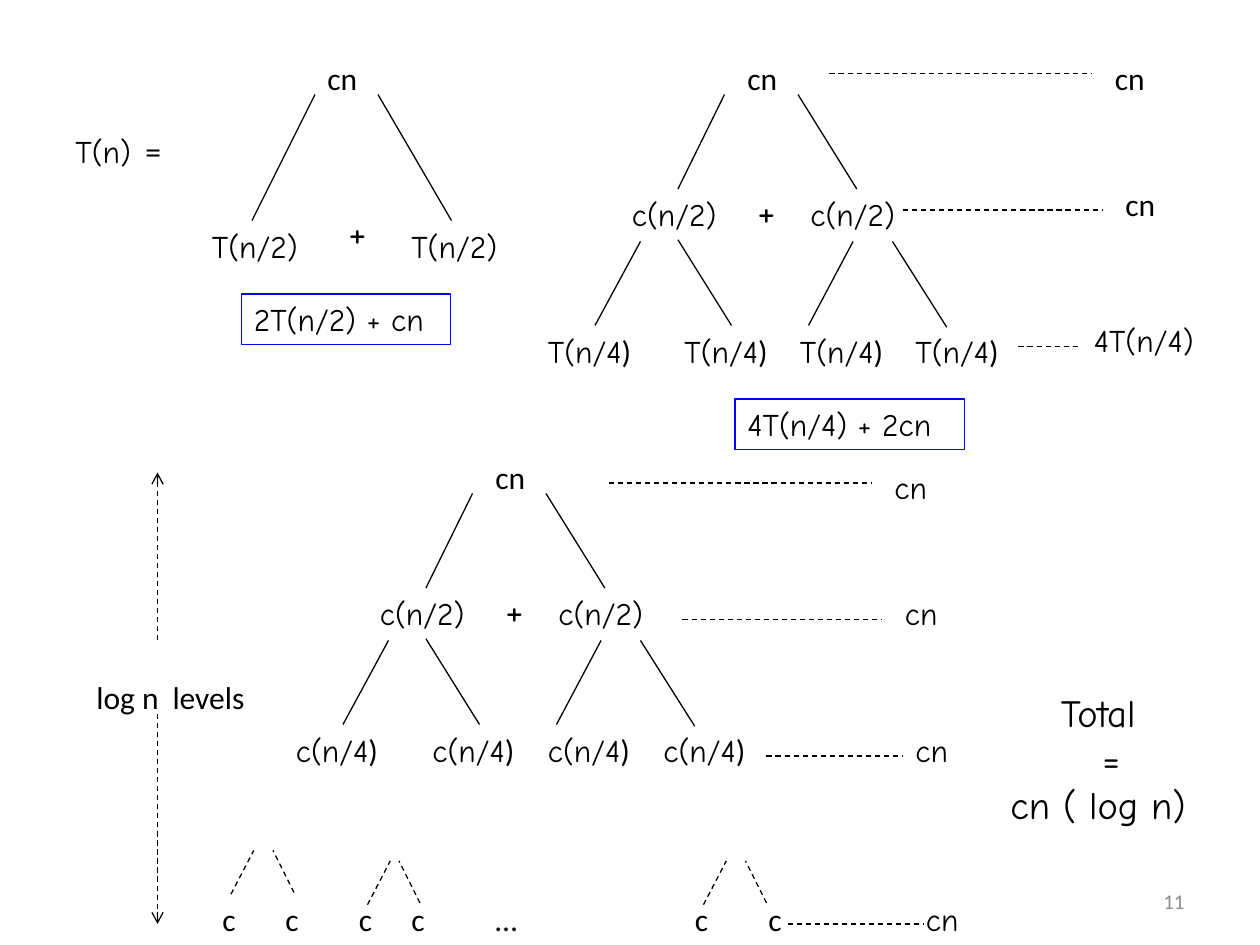
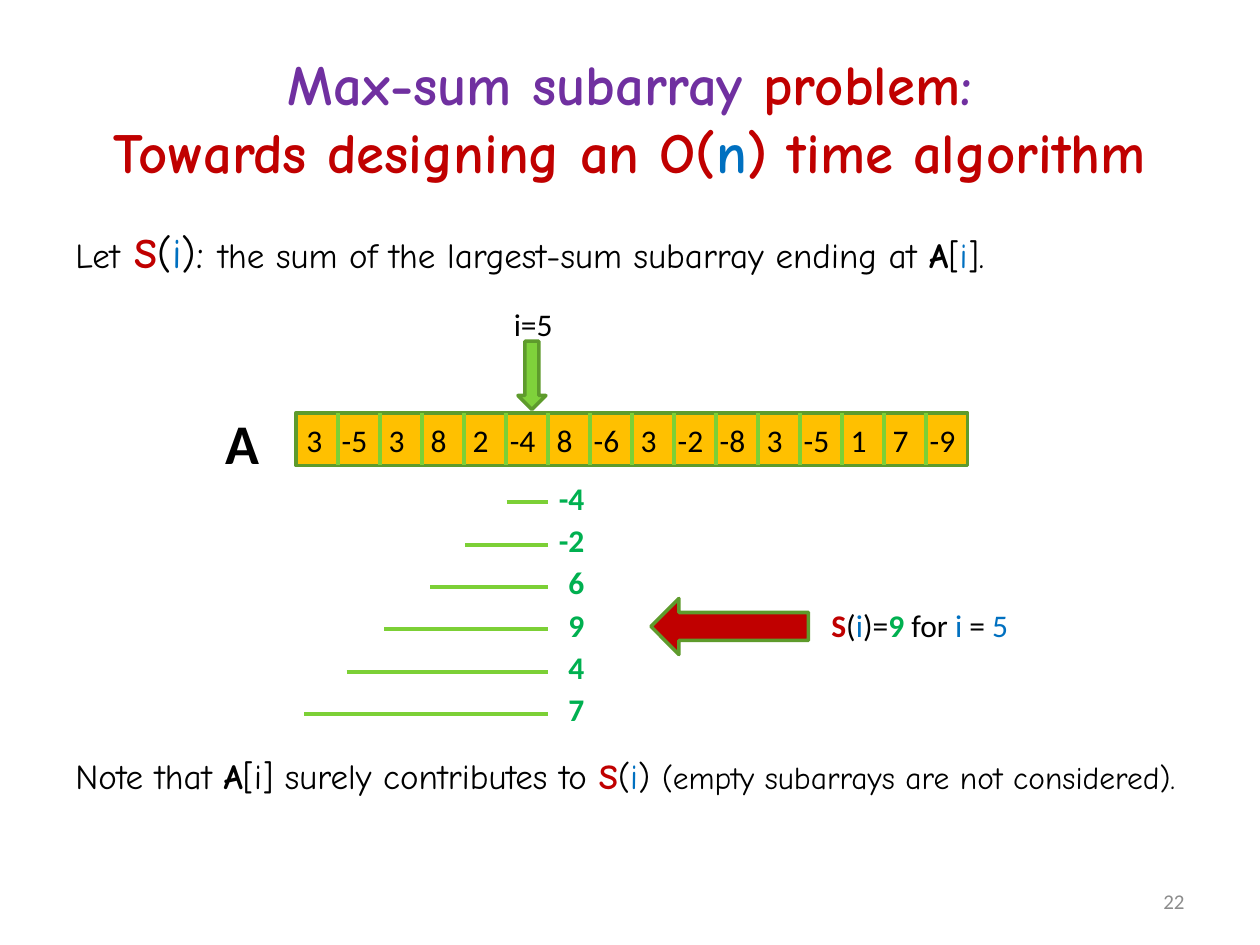
from lxml.etree import SubElement
from pptx import Presentation
from pptx.dml.color import RGBColor
from pptx.enum.dml import MSO_LINE_DASH_STYLE as Dash
from pptx.enum.shapes import MSO_CONNECTOR as Connector, MSO_SHAPE as Shape
from pptx.enum.text import MSO_ANCHOR as Anchor, PP_ALIGN as Align
from pptx.oxml.ns import qn
from pptx.util import Pt

# Shared style
SANS, COMIC = "Calibri", "Comic Neue"
BLACK, GREY, PURPLE = "000000", "8C8C8C", "7030A0"
RED, BLUE, GREEN = "C00000", "0070C0", "00B050"
GOLD, LIME, LEAF, OLIVE, FRAME = "FFC000", "7CD036", "7FD13B", "5E9B2C", "0000FF"

# Label widths on the recursion slide
WIDTHS = {"cn": 36, "c": 23, "…": 28, "+": 27, "T(n/2)": 72, "c(n/2)": 68, "4T(n/4)": 83}


def color(hex_code):
    return RGBColor.from_string(hex_code)


def style_font(font, size=None, name=None, ink=None, bold=None):
    if size:
        font.size = Pt(size)
    if name:
        font.name = name
    if ink:
        font.color.rgb = color(ink)
    if bold is not None:
        font.bold = bold


def write(box, lines, size=18, name=SANS, ink=BLACK, bold=None, align=Align.LEFT,
          anchor=Anchor.TOP, wrap=False, tabs=()):
    """Each line is a list of spans: plain strings or (text, font overrides)."""
    frame = box.text_frame
    frame.word_wrap = wrap
    frame.vertical_anchor = anchor
    for index, spans in enumerate(lines):
        para = frame.paragraphs[0] if index == 0 else frame.add_paragraph()
        para.alignment = align
        if tabs:
            stops = SubElement(para._p.get_or_add_pPr(), qn("a:tabLst"))
            for position, kind in tabs:
                SubElement(stops, qn("a:tab"), pos=str(Pt(position)), algn=kind)
        style_font(para.font, size, name, ink, bold)
        for item in spans:
            words, changes = (item, {}) if isinstance(item, str) else item
            span = para.add_run()
            span.text = words
            style_font(span.font, **changes)
    return frame


def add_text(page, x, y, width, height, lines, **style):
    box = page.shapes.add_textbox(Pt(x), Pt(y), Pt(width), Pt(height))
    return write(box, lines, **style)


def add_label(page, words, x, y, **style):
    add_text(page, x, y, WIDTHS[words], 29, [[words]], **style)


def add_line(page, x1, y1, x2, y2, ink=BLACK, width=0.75, dashed=False, arrow=False):
    line = page.shapes.add_connector(Connector.STRAIGHT, Pt(x1), Pt(y1), Pt(x2), Pt(y2))
    line.line.color.rgb = color(ink)
    line.line.width = Pt(width)
    if dashed:
        line.line.dash_style = Dash.DASH
    if arrow:
        SubElement(line.line._get_or_add_ln(), qn("a:tailEnd"), type="arrow")
    SubElement(line._element.spPr, qn("a:effectLst"))


def add_shape(page, kind, x, y, width, height, ink, line_width, fill=None):
    shape = page.shapes.add_shape(kind, Pt(x), Pt(y), Pt(width), Pt(height))
    shape.shadow.inherit = False
    if fill:
        shape.fill.solid()
        shape.fill.fore_color.rgb = color(fill)
    else:
        shape.fill.background()
    shape.line.color.rgb = color(ink)
    shape.line.width = Pt(line_width)
    return shape


def add_page(deck, number):
    page = deck.slides.add_slide(deck.slide_layouts[6])
    add_text(page, 516, 500.5, 168, 29, [[str(number)]], size=12, ink=GREY,
             align=Align.RIGHT, anchor=Anchor.MIDDLE, wrap=True)
    return page


# Recursion slide
def add_formula(page, words, x, y, width):
    frame = add_shape(page, Shape.RECTANGLE, x, y, width, 29, FRAME, 0.75)
    write(frame, [[words]], name=COMIC)


def add_call_tree(page, x, y, leaf, leaf_width):
    """Three levels of calls, with the root label at x, y."""
    add_label(page, "cn", x, y)
    add_label(page, "+", x + 6, y + 72, size=24, name=COMIC)
    for dx in (-66, 36):
        add_label(page, "c(n/2)", x + dx, y + 78, name=COMIC)
    for dx in (-114, -36, 30, 96):
        add_text(page, x + dx, y + 156, leaf_width, 29,
                 [[leaf, (")", {"name": SANS})]], name=COMIC)
    branches = [(-6, 24, -32.6, 78), (36, 24, 69.6, 78), (-54, 108, -80, 156),
                (-32.6, 107, -2, 156), (67.5, 108, 42, 156), (90, 108, 121, 157)]
    for x1, y1, x2, y2 in branches:
        add_line(page, x + x1, y + y1, x + x2, y + y2)


def add_level_cost(page, x1, x2, y, cost, label_x, label_y, name=COMIC):
    add_line(page, x1, y, x2, y, dashed=True)
    add_label(page, cost, label_x, label_y, name=name)


def build_recursion(deck):
    page = add_page(deck, 11)

    # First expansion
    add_text(page, 36, 72, 71, 29, [["T(n)", ("\t=", {"name": SANS})]],
             name=COMIC, wrap=True, tabs=[(40, "l")])
    add_label(page, "cn", 180, 30)
    add_line(page, 180, 54, 144, 126)
    add_line(page, 216, 54, 258, 126)
    for x in (114, 228):
        add_label(page, "T(n/2)", x, 126, name=COMIC)
    add_label(page, "+", 192, 114, size=24, name=COMIC)
    add_formula(page, "2T(n/2) + cn", 138, 168, 119.5)

    # Second expansion
    add_call_tree(page, 420, 30, "T(n/4", 70)
    add_level_cost(page, 474, 624, 42, "cn", 630, 30, SANS)
    add_level_cost(page, 516, 630, 120, "cn", 636, 102, SANS)
    add_level_cost(page, 582, 618, 198, "4T(n/4)", 618, 180)
    add_formula(page, "4T(n/4) + 2cn", 420, 228, 131)

    # Full expansion
    add_call_tree(page, 276, 258, "c(n/4", 67)
    add_level_cost(page, 348, 498, 276, "cn", 504, 264)
    add_level_cost(page, 390, 504, 354, "cn", 510, 336)
    add_level_cost(page, 438, 516, 432, "cn", 516, 414)
    add_level_cost(page, 450, 528, 528, "cn", 522, 511)

    # Bottom level: label positions, right stub foot and stub top
    for left, right, foot, top in [(120, 156, 168, 486), (198, 228, 240, 492),
                                   (390, 432, 438, 492)]:
        add_label(page, "c", left, 511)
        add_label(page, "c", right, 511)
        add_line(page, left + 12, top + 25, left + 25, top, dashed=True)
        add_line(page, foot, top + 24, foot - 12, top, dashed=True)
    add_label(page, "…", 276, 511)

    # Depth and total
    add_line(page, 90, 408, 90, 528, dashed=True, arrow=True)
    add_line(page, 90, 366, 90, 270, dashed=True, arrow=True)
    add_text(page, 48, 384, 101, 29, [["log n\tlevels"]], wrap=True, tabs=[(43.5, "l")])
    total = add_text(page, 570, 390, 115, 87, [["Total"], ["="], ["cn ( log n)"]],
                     size=22, name=COMIC, align=Align.CENTER)
    total.paragraphs[1]._p.get_or_add_pPr().set("marL", str(Pt(15)))


# Subarray slide
def add_array(page, values, x, y, cell, height):
    add_shape(page, Shape.RECTANGLE, x, y, cell * len(values), height, OLIVE, 2, GOLD)
    for index in range(1, len(values)):
        add_line(page, x + index * cell, y, x + index * cell, y + height, LIME, 2.25)
    centres = [(index * cell + 3.5, "ctr") for index in range(1, len(values))]
    add_text(page, x - 1, y + 1, 395, 29, [["\t".join(map(str, values))]],
             wrap=True, tabs=centres)
    add_text(page, 121.5, 230, 34, 46, [["A"]], size=32, bold=True)


def build_subarray(deck):
    page = add_page(deck, 22)
    red, blue, black = {"ink": RED}, {"ink": BLUE}, {"ink": BLACK}
    bold, big = {"bold": True}, {"size": 24}
    red_bold = red | bold

    # Title
    add_text(page, 36, 21.5, 648, 90, [
        ["Max-sum subarray ", ("problem", red), ":"],
        [("Towards designing an O(", red), ("n", blue), (") time algorithm", red)],
    ], size=32.4, name=COMIC, ink=PURPLE, bold=True, align=Align.CENTER,
        anchor=Anchor.MIDDLE, wrap=True)

    # Definition and note
    body = add_text(page, 36, 126, 648, 356, [
        ["Let", (" S", red_bold | big), ("(", big), ("i", blue | big), ("): ", big),
         "the sum of the largest-sum subarray ending at ",
         ("A", bold), "[", ("i", blue), "]."],
        ["Note that ", ("A", bold), "[i] surely contributes to ", ("S", red_bold),
         "(", ("i", blue), ") ", ("(empty subarrays are not considered).", {"size": 18})],
    ], size=20, name=COMIC, wrap=True)
    body.paragraphs[1].space_before = Pt(273)

    # Array with the index pointer
    add_array(page, [3, -5, 3, 8, 2, -4, 8, -6, 3, -2, -8, 3, -5, 1, 7, -9],
              169, 236, 24, 30)
    add_shape(page, Shape.DOWN_ARROW, 296, 195, 16, 39, OLIVE, 2, LEAF)
    add_text(page, 286.5, 170.5, 37, 29, [["i=5"]])

    # Sums of the subarrays that end at the index
    sums = [(289.5, -4), (266, -2), (246, 6), (219.5, 9), (198, 4), (174, 7)]
    for row, (start, value) in enumerate(sums):
        y = 287 + row * 24.2
        add_line(page, start, y, 313, y, LIME, 2.25)
        add_text(page, 312, y - 17, 29, 29, [[str(value)]], ink=GREEN, bold=True,
                 align=Align.RIGHT)

    # Largest sum
    add_shape(page, Shape.LEFT_ARROW, 372, 342, 90, 32, OLIVE, 2, RED)
    add_text(page, 468, 343, 117, 29, [[
        ("S", red_bold), ("(", black), ("i", blue), (")=", black),
        ("9", {"ink": GREEN} | bold), " for ", ("i", blue), " = ", ("5", blue)]])


def main():
    deck = Presentation()
    deck.slide_width, deck.slide_height = Pt(720), Pt(540)
    build_recursion(deck)
    build_subarray(deck)
    deck.save("out.pptx")


if __name__ == "__main__":
    main()
